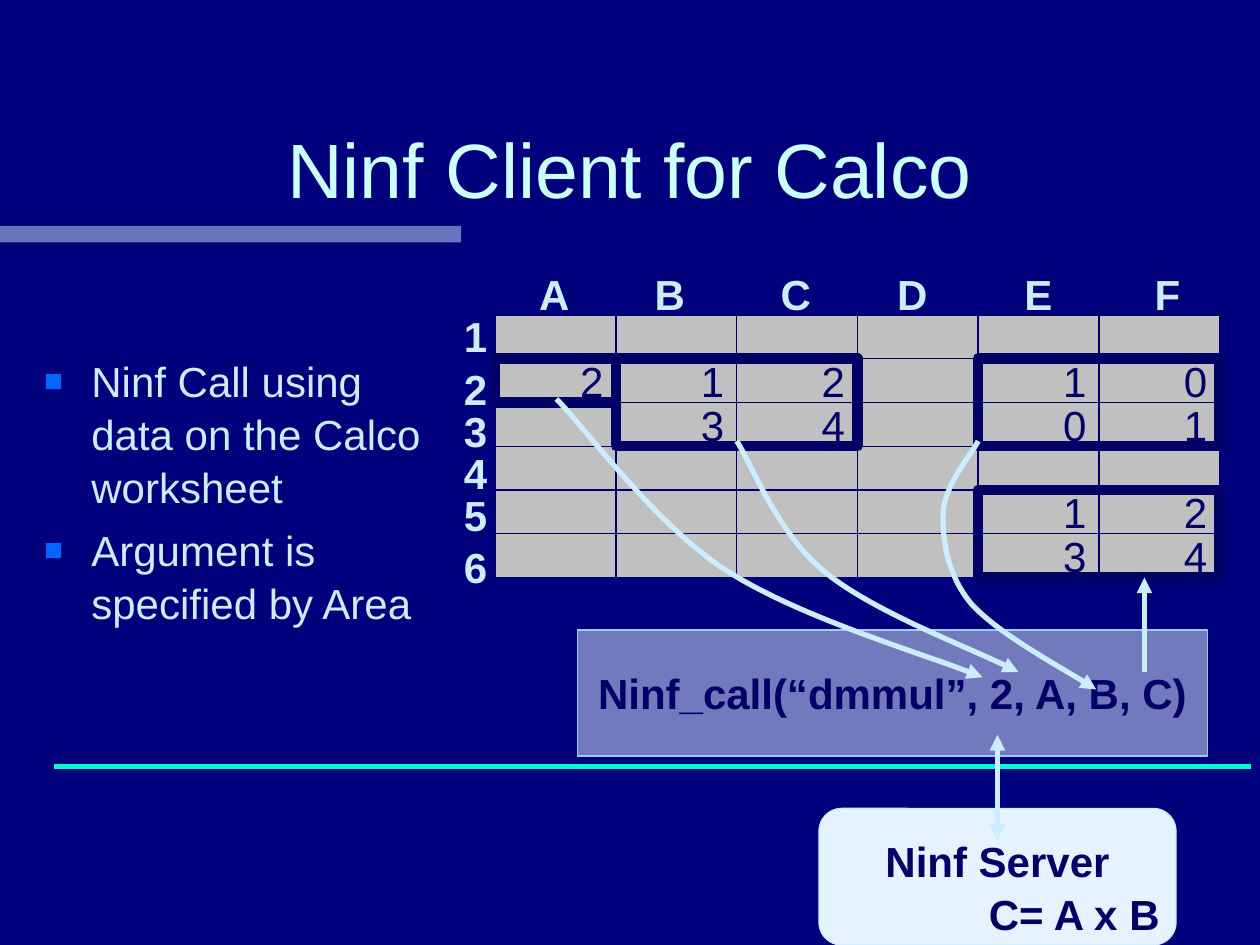
from lxml import etree
from pptx import Presentation
from pptx.dml.color import RGBColor
from pptx.enum.shapes import MSO_CONNECTOR, MSO_SHAPE
from pptx.enum.text import MSO_ANCHOR, MSO_AUTO_SIZE, PP_ALIGN
from pptx.oxml.ns import qn
from pptx.util import Pt

RECTANGLE, ROUNDED = MSO_SHAPE.RECTANGLE, MSO_SHAPE.ROUNDED_RECTANGLE
STRAIGHT = MSO_CONNECTOR.STRAIGHT
LEFT, CENTER, RIGHT = PP_ALIGN.LEFT, PP_ALIGN.CENTER, PP_ALIGN.RIGHT
TOP, MIDDLE, BOTTOM = MSO_ANCHOR.TOP, MSO_ANCHOR.MIDDLE, MSO_ANCHOR.BOTTOM

COLORS = {
    "background": "00007C", "title": "CCFFFF", "pale": "CCECFF", "panel": "E5F2FF",
    "panel_line": "99CCFF", "ink": "000066", "cell": "C0C0C0", "divider": "00FFCC",
    "bullet": "0066FF",
}


def write(frame, text, *, size=24, color="ink", bold=False, align=LEFT, anchor=TOP, wrap=True):
    frame.word_wrap = wrap
    frame.auto_size = MSO_AUTO_SIZE.NONE
    frame.vertical_anchor = anchor
    frame.text = text
    for para in frame.paragraphs:
        para.alignment = align
        for span in para.runs:
            span.font.name = "Arial"
            span.font.size = Pt(size)
            span.font.bold = bold
            span.font.color.rgb = RGBColor.from_string(COLORS[color])


def add_block(shapes, kind, bounds, *, fill=None, opacity=100, line=None, width=0.75):
    block = shapes.add_shape(kind, *map(Pt, bounds))
    block.shadow.inherit = False
    if fill:
        block.fill.solid()
        block.fill.fore_color.rgb = RGBColor.from_string(COLORS[fill])
        if opacity < 100:
            tint = block.fill._xPr.find(".//" + qn("a:srgbClr"))
            etree.SubElement(tint, qn("a:alpha"), val=str(opacity * 1000))
    else:
        block.fill.background()
    if line:
        block.line.color.rgb = RGBColor.from_string(COLORS[line])
        block.line.width = Pt(width)
    else:
        block.line.fill.background()
    return block


deck = Presentation()
deck.slide_width, deck.slide_height = Pt(720), Pt(540)
page = deck.slides.add_slide(deck.slide_layouts[1])
page.background.fill.solid()
page.background.fill.fore_color.rgb = RGBColor.from_string(COLORS["background"])

# Title and the bar below it
title, body = page.placeholders
title.left, title.top, title.width, title.height = map(Pt, (54, 36, 612, 90))
write(title.text_frame, "Ninf Client for Calco", size=44, color="title", align=CENTER, anchor=BOTTOM)
add_block(page.shapes, RECTANGLE, (0, 129, 263.5, 9.5), fill="pale", opacity=50)

# Bulleted list
body.left, body.top, body.width, body.height = map(Pt, (18, 198, 234, 222))
write(body.text_frame, "Ninf Call using data on the Calco worksheet\nArgument is specified by Area",
      color="pale")
for index, para in enumerate(body.text_frame.paragraphs):
    para.line_spacing = 1.05
    para.space_before = Pt(6 if index else 0)
    properties = para._p.get_or_add_pPr()
    properties.set("marL", str(Pt(27)))
    properties.set("indent", str(-Pt(27)))
    bullet_color = etree.SubElement(properties, qn("a:buClr"))
    etree.SubElement(bullet_color, qn("a:srgbClr"), val=COLORS["bullet"])
    etree.SubElement(properties, qn("a:buSzPct"), val="75000")
    etree.SubElement(properties, qn("a:buFont"), typeface="Arial")
    etree.SubElement(properties, qn("a:buChar"), char="■")

# Server, divider and call
server = add_block(page.shapes, ROUNDED, (468, 462, 204, 78), fill="panel", line="pale")
write(server.text_frame, "Ninf Server", bold=True, align=CENTER)
server.text_frame.margin_top = Pt(11.4)
divider = page.shapes.add_connector(STRAIGHT, Pt(31), Pt(438), Pt(715), Pt(438))
call = add_block(page.shapes, RECTANGLE, (330, 360, 360, 72), fill="panel", opacity=50,
                 line="panel_line")
write(call.text_frame, "Ninf_call(“dmmul”, 2, A, B, C)", bold=True, align=CENTER, anchor=MIDDLE)
server_link = page.shapes.add_connector(STRAIGHT, Pt(570), Pt(420), Pt(570), Pt(480))
formula = page.shapes.add_textbox(Pt(558), Pt(504), Pt(114), Pt(36))
write(formula.text_frame, "C= A x B", bold=True, wrap=False)

# Worksheet cells, six by six
GRID_LEFT, GRID_TOP, CELL_WIDTH, CELL_HEIGHT = 283, 180, 69, 25
ROWS = ["      ", "212 10", " 34 01", "      ", "    12", "    34"]
sheet = page.shapes.add_group_shape().shapes
for row, values in enumerate(ROWS):
    for column, value in enumerate(values):
        bounds = (GRID_LEFT + column * CELL_WIDTH, GRID_TOP + row * CELL_HEIGHT,
                  CELL_WIDTH, CELL_HEIGHT)
        cell = add_block(sheet, RECTANGLE, bounds, fill="cell", line="ink")
        if value.strip():
            write(cell.text_frame, value, align=RIGHT, anchor=MIDDLE)

# Outlined ranges: column, row, columns, rows
for column, row, columns, rows in [(1, 1, 2, 2), (4, 1, 2, 2), (4, 4, 2, 2), (0, 1, 1, 1)]:
    bounds = (GRID_LEFT + column * CELL_WIDTH, GRID_TOP + row * CELL_HEIGHT,
              columns * CELL_WIDTH, rows * CELL_HEIGHT)
    add_block(sheet, RECTANGLE, bounds, line="ink", width=6)

# Column and row labels
labels = [(name, left, 150, 31.5) for name, left in zip("ABCDEF", (301, 367, 439, 505.5, 577, 650))]
labels += [(name, 258.5, top, 27) for name, top in zip("123456", (174, 204, 228, 252, 276, 306))]
for name, left, top, width in labels:
    label = page.shapes.add_textbox(Pt(left), Pt(top), Pt(width), Pt(36))
    write(label.text_frame, name, color="pale", bold=True, align=RIGHT, wrap=False)

# Curves from the ranges to the arguments: start, then three points per Bézier segment
CURVES = [
    [(318, 228), (334, 244), (373, 298), (413.5, 325), (454, 351.5), (531, 374.5), (561.5, 387)],
    [(421, 252), (429, 264), (444, 304.5), (471, 326.5), (497.5, 348.5), (559, 372), (582, 384)],
    [(559, 252), (556, 258.5), (539.5, 277), (539, 293), (538.5, 308), (541, 328), (555, 345),
     (570, 361.5), (611, 384), (626.5, 394)],
]
arrows = []
for points in CURVES:
    start, *rest = [(Pt(x), Pt(y)) for x, y in points]
    builder = page.shapes.build_freeform(*start)
    builder.add_line_segments(rest, close=False)
    curve = builder.convert_to_shape()
    curve.shadow.inherit = False
    curve.fill.background()
    outline = curve._element.find(".//" + qn("a:path"))
    steps = outline.findall(qn("a:lnTo"))
    for first in range(0, len(steps), 3):
        segment = etree.SubElement(outline, qn("a:cubicBezTo"))
        for step in steps[first:first + 3]:
            segment.append(step[0])
            outline.remove(step)
    arrows.append(curve)
result_arrow = page.shapes.add_connector(STRAIGHT, Pt(654), Pt(384), Pt(654), Pt(330))
arrows.append(result_arrow)

# Line colours and arrowheads
for stroke in [divider, server_link, *arrows]:
    stroke.line.color.rgb = RGBColor.from_string(COLORS["divider" if stroke is divider else "pale"])
    stroke.line.width = Pt(3)
    line = stroke.line._get_or_add_ln()
    if stroke is server_link:
        etree.SubElement(line, qn("a:headEnd"), type="triangle")
    if stroke is not divider:
        etree.SubElement(line, qn("a:tailEnd"), type="triangle")
for connector in (divider, server_link, result_arrow):
    etree.SubElement(connector._element.spPr, qn("a:effectLst"))

deck.save("out.pptx")
